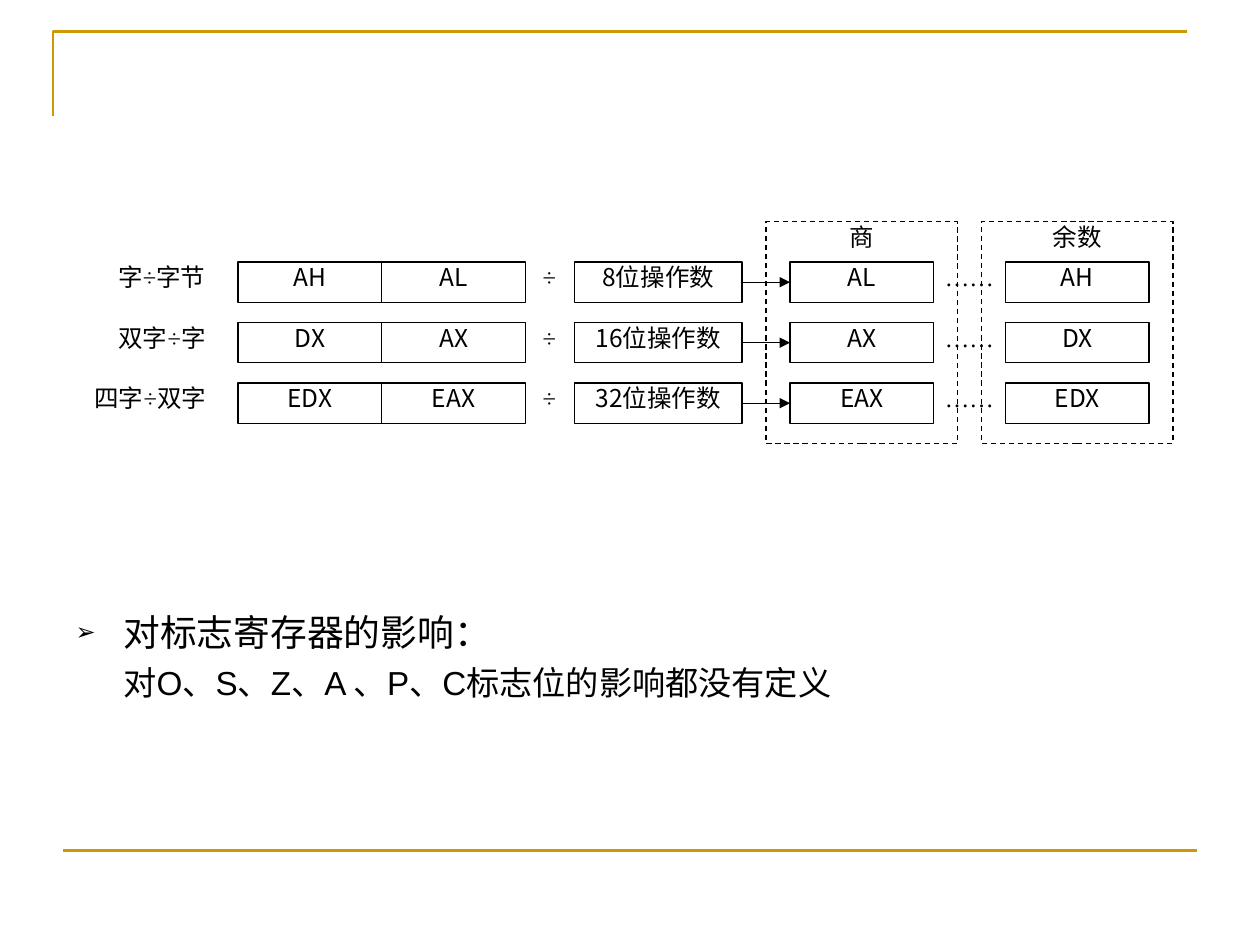
from lxml.etree import SubElement as Sub
from pptx import Presentation
from pptx.dml.color import RGBColor as Rgb
from pptx.enum.dml import MSO_LINE as Dash
from pptx.enum.shapes import MSO_CONNECTOR as Link, MSO_SHAPE as Shape
from pptx.enum.text import MSO_ANCHOR as Anchor, MSO_AUTO_SIZE as Fit, PP_ALIGN as Align
from pptx.oxml.ns import qn
from pptx.util import Inches, Pt

HUES = {"ink": "000000", "gold": "CC9900"}
SANS, SERIF, BODY = "Noto Sans CJK SC", "Times New Roman", "Arial"
TOP, STEP, HIGH, WIDE = 2.08, 0.48, 0.32, 1.14
ROWS = [
    (0.94, "字÷字节", "AH", "AL", "8位操作数"),
    (0.94, "双字÷字", "DX", "AX", "16位操作数"),
    (0.75, "四字÷双字", "EDX", "EAX", "32位操作数"),
]


def hue(name):
    return Rgb.from_string(HUES[name])


def style(para, size, face):
    para.font.size = Pt(size)
    para.font.name = face
    para.font.color.rgb = hue("ink")


def stroke(shape, name="ink", width=0.75):
    shape.line.color.rgb = hue(name)
    shape.line.width = Pt(width)


def write(shape, text, face, align=Align.CENTER):
    frame = shape.text_frame
    frame.margin_left = frame.margin_right = frame.margin_top = frame.margin_bottom = 0
    frame.word_wrap = True
    frame.vertical_anchor = Anchor.TOP
    para = frame.paragraphs[0]
    para.text = text
    para.alignment = align
    style(para, 14, face)


def label(slide, x, y, wide, text, face=SERIF, align=Align.CENTER):
    box = slide.shapes.add_textbox(Inches(x), Inches(y), Inches(wide), Inches(HIGH))
    write(box, text, face, align)


def rect(slide, x, y, wide, high):
    box = slide.shapes.add_shape(
        Shape.RECTANGLE, Inches(x), Inches(y), Inches(wide), Inches(high))
    box.shadow.inherit = False
    box.fill.background()
    stroke(box)
    return box


def cell(slide, x, y, wide, text):
    box = rect(slide, x, y, wide, HIGH)
    write(box, text, SANS)
    return box


def frame(slide, x, wide, text, face):
    box = rect(slide, x, 1.76, 1.52, 1.76)
    box.line.dash_style = Dash.DASH
    label(slide, x + (1.52 - wide) / 2, 1.76, wide, text, face)


def line(slide, start, end):
    link = slide.shapes.add_connector(Link.STRAIGHT, *map(Inches, start + end))
    Sub(link.element.spPr, qn("a:effectLst"))
    return link


def arrow(slide, left, right):
    link = line(slide, (0, 0), (1, 1))
    link.begin_connect(left, 3)
    link.end_connect(right, 1)
    stroke(link)
    Sub(link.line._get_or_add_ln(), qn("a:tailEnd"), type="triangle")


def row(slide, y, x, name, high, low, value):
    label(slide, x, y, WIDE, name, align=Align.JUSTIFY)
    cell(slide, 1.89, y, WIDE, high)
    cell(slide, 1.89 + WIDE, y, WIDE, low)
    label(slide, 4.17, y, 0.38, "÷")
    left = cell(slide, 4.56, y, 1.33, value)
    right = cell(slide, 6.27, y, WIDE, low)
    arrow(slide, left, right)
    label(slide, 7.41, y, 0.57, "……")
    cell(slide, 7.98, y, WIDE, high)


def trim(slide):
    build = slide.shapes.build_freeform(Inches(0.42), Inches(0.92))
    build.add_line_segments(
        [(Inches(0.42), Inches(0.25)), (Inches(9.42), Inches(0.25))], close=False)
    edge = build.convert_to_shape()
    edge.shadow.inherit = False
    edge.fill.background()
    stroke(edge, "gold", 1.5)
    stroke(line(slide, (0.5, 6.75), (9.5, 6.75)), "gold", 1.5)


def bullet(props):
    tint = Sub(props, qn("a:buClr"))
    Sub(tint, qn("a:srgbClr"), val=HUES["ink"])
    Sub(props, qn("a:buSzPct"), val="65000")
    Sub(props, qn("a:buFont"), typeface=BODY)
    Sub(props, qn("a:buChar"), char="➢")


def notes(body):
    body.left, body.top, body.width, body.height = map(Inches, (0.5, 4.79, 9, 1.91))
    text = body.text_frame
    text.auto_size = Fit.NONE
    text.vertical_anchor = Anchor.TOP
    head, more = text.paragraphs[0], text.add_paragraph()
    head.text = "对标志寄存器的影响："
    more.text = "对O、S、Z、A 、P、C标志位的影响都没有定义"
    for para, size, gap, hang in ((head, 21, 0, -0.38), (more, 19, 4.8, 0)):
        props = para._p.get_or_add_pPr()
        props.set("marL", str(Inches(0.38)))
        props.set("indent", str(Inches(hang)))
        if hang:
            bullet(props)
        else:
            Sub(props, qn("a:buNone"))
        para.space_before = Pt(gap)
        style(para, size, BODY)


def main():
    """Build the slide on division operands and flags."""
    deck = Presentation()
    deck.slide_width, deck.slide_height = Inches(10), Inches(7.5)
    slide = deck.slides.add_slide(deck.slide_layouts[1])
    title = slide.shapes.title.element
    title.getparent().remove(title)
    trim(slide)
    notes(slide.placeholders[1])
    frame(slide, 6.08, 0.38, "商", SERIF)
    frame(slide, 7.79, 0.76, "余数", SANS)
    for i, item in enumerate(ROWS):
        row(slide, TOP + i * STEP, *item)
    deck.save("out.pptx")


if __name__ == "__main__":
    main()
